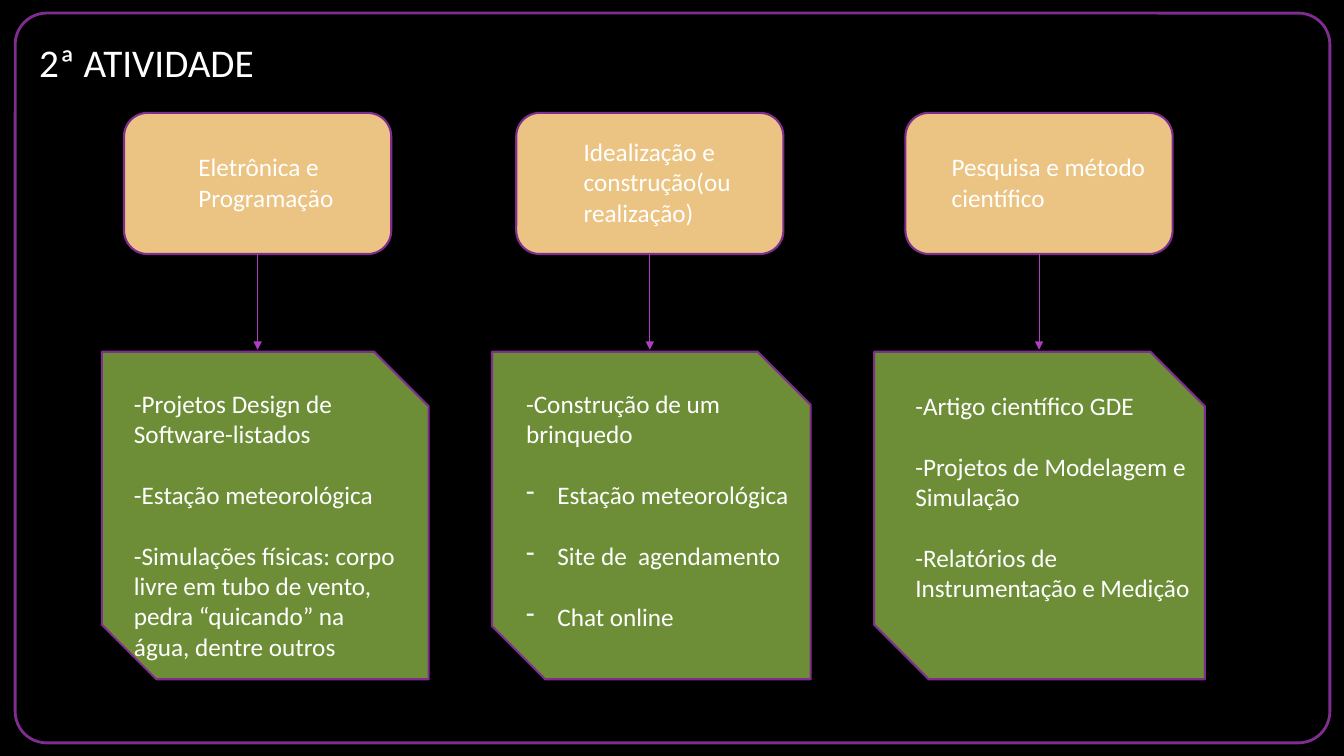
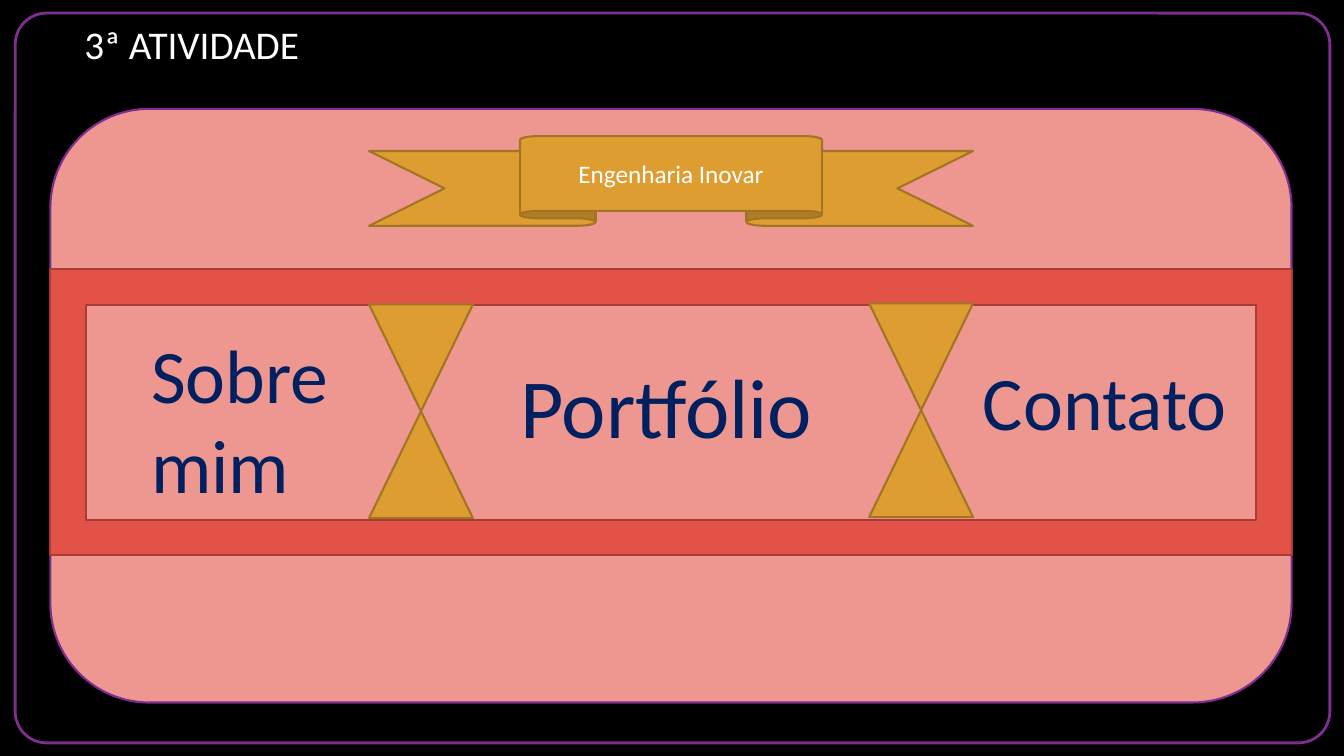
from lxml.etree import SubElement
from pptx import Presentation
from pptx.dml.color import RGBColor
from pptx.enum.shapes import MSO_CONNECTOR as CONNECTOR, MSO_SHAPE as SHAPE
from pptx.enum.text import MSO_ANCHOR as ANCHOR, PP_ALIGN as ALIGN
from pptx.oxml.ns import qn
from pptx.util import Inches, Pt

COLORS = {
    "black": "000000", "white": "FFFFFF", "navy": "002060",
    "purple": "7F2E8F", "arrow": "AC3EC1", "sand": "EBC483",
    "green": "6D8E37", "pink": "EE9791", "red": "E25247",
    "dark red": "A73D35", "gold": "DD9D31", "dark gold": "A37424",
}
RGB = {name: RGBColor.from_string(value) for name, value in COLORS.items()}
BODY = {"name": "Calibri", "size": Pt(18)}
TITLE = {"name": "Calibri", "size": Pt(28)}
HANGING = Inches(0.31)

presentation = Presentation()
presentation.slide_width, presentation.slide_height = Inches(13.33), Inches(7.5)
COLUMN = presentation.slide_width / 100
ROW = presentation.slide_height / 100


def add_block(slide, kind, area, fill=None, line="purple", weight=1.5):
    """Add a shape (a text box if kind is None); area is in percent of the slide."""
    box = [round(share * unit) for share, unit in zip(area, (COLUMN, ROW) * 2)]
    if kind is None:
        return slide.shapes.add_textbox(*box)
    shape = slide.shapes.add_shape(kind, *box)
    shape.shadow.inherit = False
    if fill:
        shape.fill.solid()
        shape.fill.fore_color.rgb = RGB[fill]
    else:
        shape.fill.background()
    shape.line.color.rgb = RGB[line]
    shape.line.width = Pt(weight)
    return shape


def write(shape, texts, style=BODY, color="white", gap=0, anchor=ANCHOR.TOP,
          align=ALIGN.LEFT, bullets_from=None):
    """Fill a shape with paragraphs, those from index bullets_from on with dashes."""
    frame = shape.text_frame
    frame.word_wrap = True
    frame.vertical_anchor = anchor
    for index, text in enumerate(texts):
        paragraph = frame.add_paragraph() if index else frame.paragraphs[0]
        paragraph.alignment = align
        paragraph.space_before = Pt(gap if index else 0)
        run = paragraph.add_run()
        run.text = text
        for name, value in style.items():
            setattr(run.font, name, value)
        run.font.color.rgb = RGB[color]
        if bullets_from is not None and index >= bullets_from:
            properties = paragraph._p.get_or_add_pPr()
            properties.set("marL", str(HANGING))
            properties.set("indent", str(-HANGING))
            SubElement(properties, qn("a:buChar"), char="-")


# Shared background, border and title
slides = []
for title, area in (
    ("2ª ATIVIDADE", (2.18, -1.47, 86.27, 19.33)),
    ("3ª ATIVIDADE", (5.55, 1.33, 35.86, 8.93)),
):
    slide = presentation.slides.add_slide(presentation.slide_layouts[6])
    slide.background.fill.solid()
    slide.background.fill.fore_color.rgb = RGB["black"]
    border = add_block(slide, SHAPE.ROUNDED_RECTANGLE, (1.13, 1.73, 97.82, 96.53),
                       weight=2)
    border.adjustments[0] = 0.043
    write(add_block(slide, None, area), [title], TITLE, anchor=ANCHOR.MIDDLE)
    slides.append(slide)
activity_two, activity_three = slides

# Second activity: three themes, each with an arrow to its projects
THEME_TOP, THEME_WIDTH, THEME_HEIGHT = 14.93, 19.88, 18.67
CARD_TOP, CARD_HEIGHT = 46.53, 43.33
themes = [
    {"left": 9.23, "label": (14.03, 16.73), "card": (7.58, 24.31),
     "list": (50.67, 21.53), "bullets": None,
     "theme": "Eletrônica e Programação",
     "projects": [
         "-Projetos Design de Software-listados",
         "-Estação meteorológica",
         "-Simulações físicas: corpo livre em tubo de vento, "
         "pedra “quicando” na água, dentre outros"]},
    {"left": 38.41, "label": (42.69, 17.63), "card": (36.61, 23.71),
     "list": (50.67, 21.91), "bullets": 1,
     "theme": "Idealização e construção(ou realização)",
     "projects": ["-Construção de um brinquedo", "Estação meteorológica",
                  "Site de  agendamento", "Chat online"]},
    {"left": 67.37, "label": (70.07, 17.48), "card": (65.04, 24.61),
     "list": (50.93, 24.38), "bullets": None,
     "theme": "Pesquisa e método científico",
     "projects": ["-Artigo científico GDE",
                  "-Projetos de Modelagem e Simulação",
                  "-Relatórios de Instrumentação e Medição"]},
]
for theme in themes:
    left = theme["left"]
    theme_box = add_block(activity_two, SHAPE.ROUNDED_RECTANGLE,
                          (left, THEME_TOP, THEME_WIDTH, THEME_HEIGHT), "sand")

    center = round((left + THEME_WIDTH / 2) * COLUMN)
    arrow = activity_two.shapes.add_connector(
        CONNECTOR.STRAIGHT, center, round((THEME_TOP + THEME_HEIGHT) * ROW),
        center, round((CARD_TOP - 0.26) * ROW))
    arrow.begin_connect(theme_box, 2)
    arrow.line.color.rgb = RGB["arrow"]
    arrow.line.width = Pt(0.75)
    SubElement(arrow.line._get_or_add_ln(), qn("a:tailEnd"), type="triangle")
    SubElement(arrow._element.spPr, qn("a:effectLst"))

    label_left, label_width = theme["label"]
    label = add_block(activity_two, None,
                      (label_left, THEME_TOP, label_width, THEME_HEIGHT - 0.4))
    write(label, [theme["theme"]], anchor=ANCHOR.MIDDLE)

    card_left, card_width = theme["card"]
    add_block(activity_two, SHAPE.SNIP_2_DIAG_RECTANGLE,
              (card_left, CARD_TOP, card_width, CARD_HEIGHT), "green")
    list_top, list_width = theme["list"]
    project_list = add_block(activity_two, None, (left, list_top, list_width, 37.73))
    write(project_list, theme["projects"], gap=22, bullets_from=theme["bullets"])

# Third activity: sketch of a web page
PAGE_LEFT, PAGE_WIDTH = 3.75, 92.35
RIBBON_LEFT, RIBBON_WIDTH, DIVIDER_WIDTH = 27.46, 44.94, 7.73
RIBBON_RIGHT = RIBBON_LEFT + RIBBON_WIDTH
add_block(activity_three, SHAPE.ROUNDED_RECTANGLE,
          (PAGE_LEFT, 14.4, PAGE_WIDTH, 78.53), "pink")
add_block(activity_three, SHAPE.FRAME,
          (PAGE_LEFT, 35.6, PAGE_WIDTH, 37.87), "red", "dark red")
ribbon = add_block(activity_three, SHAPE.UP_RIBBON,
                   (RIBBON_LEFT, 18, RIBBON_WIDTH, 11.87), "gold", "dark gold")
write(ribbon, ["Engenharia Inovar"], anchor=ANCHOR.MIDDLE, align=ALIGN.CENTER)
for left, top in ((RIBBON_LEFT, 40.27), (RIBBON_RIGHT - DIVIDER_WIDTH, 40.13)):
    add_block(activity_three, SHAPE.FLOWCHART_COLLATE,
              (left, top, DIVIDER_WIDTH, 28.27), "gold", "dark gold")
for lines, size, area in (
    (["Sobre", "mim"], 54, (10.5, 42.67, 30, 25.6)),
    (["Portfólio"], 60, (37.96, 46.27, 30, 14.8)),
    (["Contato"], 54, (RIBBON_RIGHT, 46.27, 25.06, 13.47)),
):
    write(add_block(activity_three, None, area), lines,
          {**BODY, "size": Pt(size)}, "navy")

presentation.save("out.pptx")
